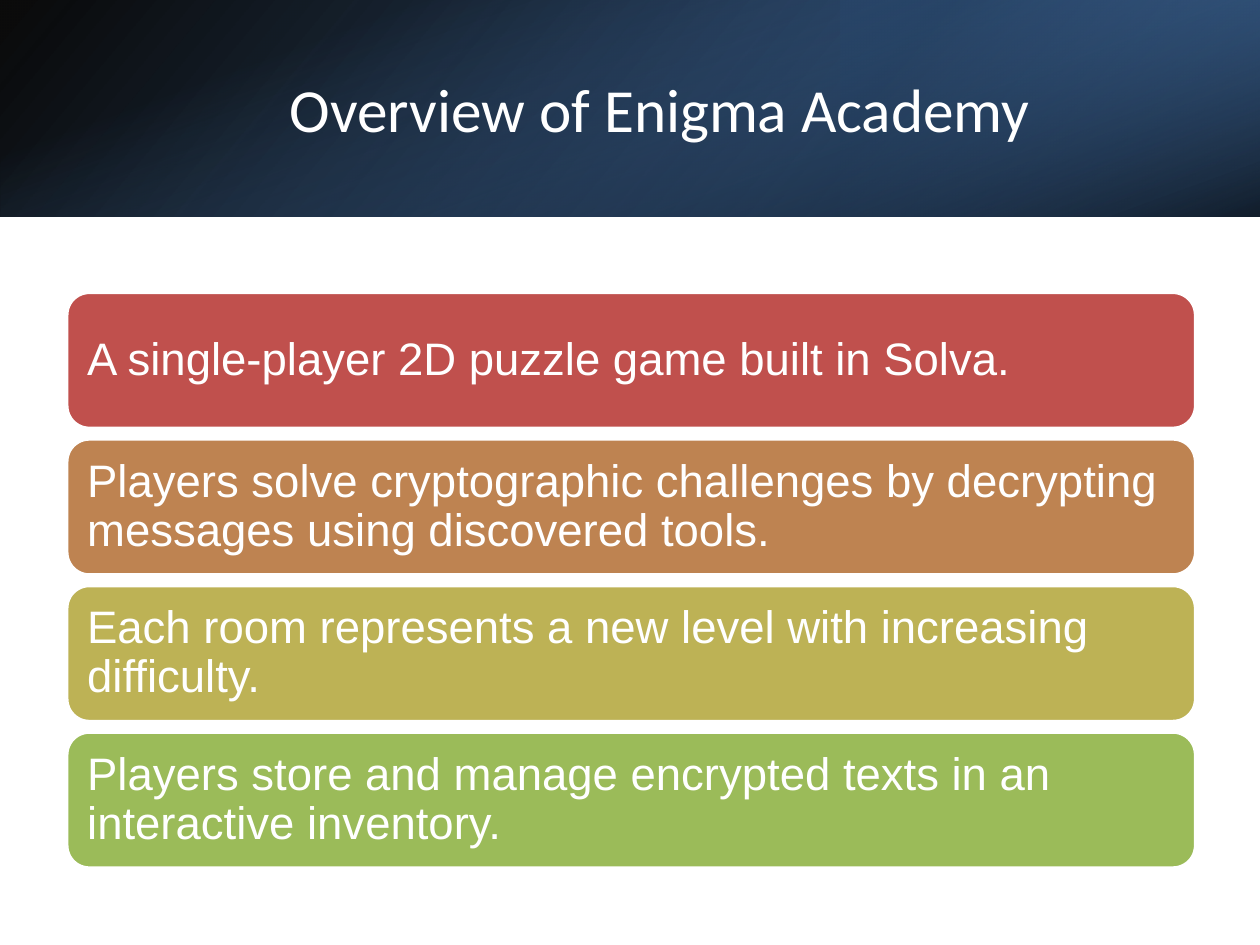
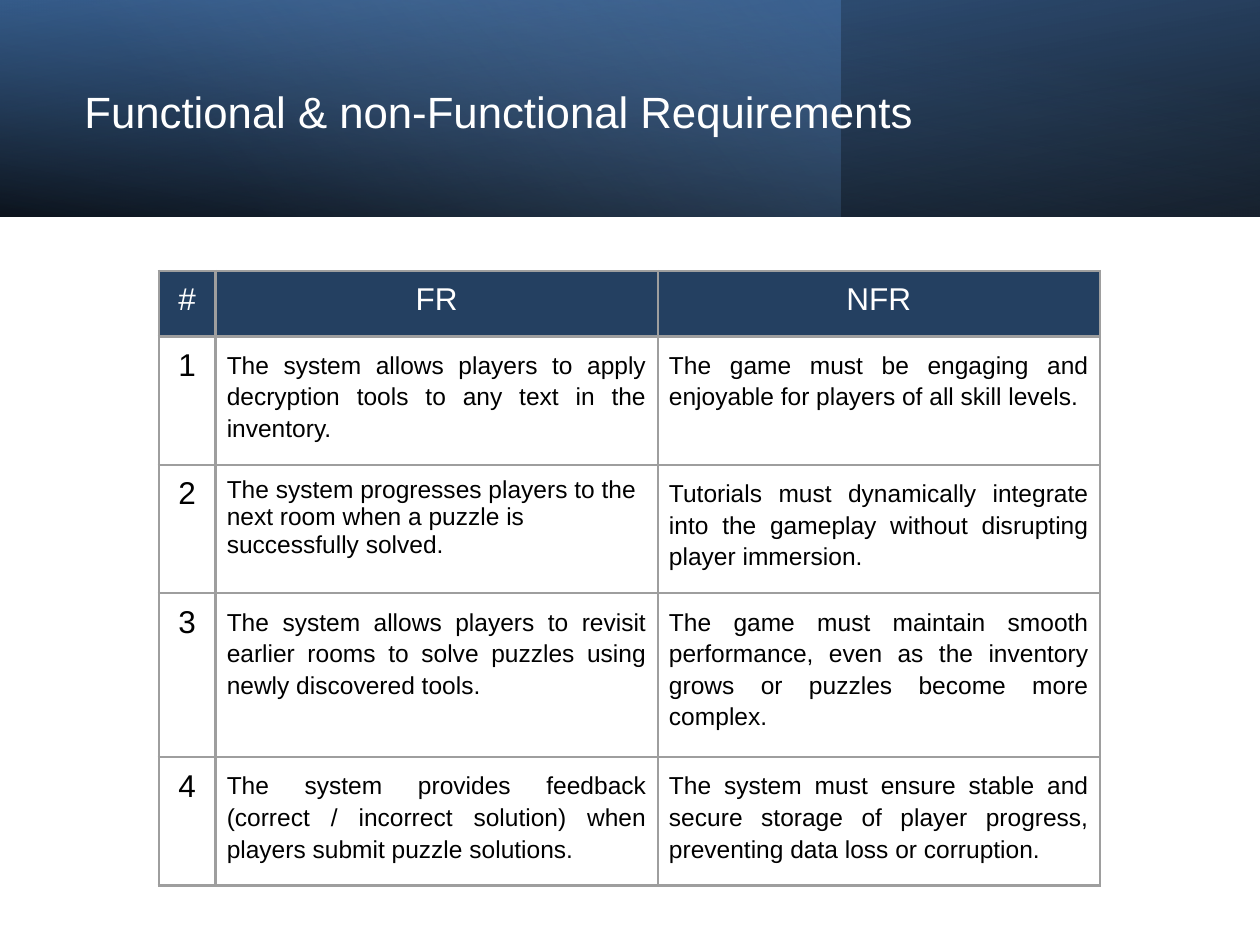
from lxml.etree import SubElement
from pptx import Presentation
from pptx.dml.color import RGBColor
from pptx.enum.shapes import MSO_SHAPE
from pptx.enum.text import MSO_ANCHOR, MSO_AUTO_SIZE, PP_ALIGN
from pptx.oxml import parse_xml
from pptx.oxml.ns import nsdecls, qn
from pptx.util import Pt

PX = 9144  # EMU per px, 100 px to the inch
PAGE = (1000, 750)
BAND_HEIGHT = 172

COLORS = {
    "white": "FFFFFF", "black": "000000", "navy": "254061", "header": "244061",
    "deep": "376092", "blue": "4F81BD", "pale": "95B3D7", "border": "9E9E9E",
    "red": "C0504D", "orange": "BE8351", "gold": "BDB255", "green": "9BBB59",
}

# Content: each band layer has a box, rotation, mirroring, angle and
# gradient stops of (position %, colour, opacity %)
FULL_BAND = (0, 0, 1000, BAND_HEIGHT)
OVERVIEW = {
    "title": "Overview of Enigma Academy",
    "title_box": (112, 38, 824, 96),
    "title_style": {"font": "Calibri", "size": 35, "align": PP_ALIGN.CENTER},
    "band": [
        (FULL_BAND, 0, True, 140, [(0, "black", 96), (100, "deep", 100)]),
        ((667, 0, 333, BAND_HEIGHT), 180, True, 320,
         [(19, "navy", 68), (100, "blue", 79)]),
        ((414, -414, BAND_HEIGHT, 1000), 90, False, 340,
         [(23, "blue", 0), (99, "black", 74)]),
    ],
}
CARDS = [
    ("red", "A single-player 2D puzzle game built in Solva."),
    ("orange", "Players solve cryptographic challenges by decrypting "
               "messages using discovered tools."),
    ("gold", "Each room represents a new level with increasing difficulty."),
    ("green", "Players store and manage encrypted texts in an "
              "interactive inventory."),
]
CARD_LEFT, CARD_WIDTH, CARD_HEIGHT = 53, 896, 108
CARDS_TOP, CARDS_BOTTOM = 232, 689

REQUIREMENTS = {
    "title": "Functional & non-Functional Requirements",
    "title_box": (57, 27, 872, 127),
    "title_style": {"font": "Arial", "size": 25, "align": PP_ALIGN.LEFT,
                    "spacing": 0.9},
    "band": [
        (FULL_BAND, 180, True, 100, [(0, "black", 96), (100, "deep", 100)]),
        ((0, 0, 667, BAND_HEIGHT), 0, False, 140,
         [(0, "blue", 41), (74, "pale", 0)]),
        (FULL_BAND, 0, True, 260, [(0, "black", 63), (78, "blue", 15)]),
    ],
}
TABLE_LEFT, TABLE_TOP = 126, 215
COLUMN_WIDTHS = [45, 351, 351]
ROW_HEIGHTS = [52, 102, 102, 130, 102]
HEADINGS = ("#", "FR", "NFR")
REQUIREMENT_PAIRS = [
    ("The system allows players to apply decryption tools to any text in the inventory.",
     "The game must be engaging and enjoyable for players of all skill levels."),
    ("The system progresses players to the next room when a puzzle is successfully solved.",
     "Tutorials must dynamically integrate into the gameplay without disrupting player immersion."),
    ("The system allows players to revisit earlier rooms to solve puzzles using newly discovered tools.",
     "The game must maintain smooth performance, even as the inventory grows or puzzles become more complex."),
    ("The system provides feedback (correct / incorrect solution) when players submit puzzle solutions.",
     "The system must ensure stable and secure storage of player progress, preventing data loss or corruption."),
]
LEFT_ALIGNED_CELL = (2, 1)


def emu(*lengths):
    return [round(length * PX) for length in lengths]


def rgb(name):
    return RGBColor.from_string(COLORS[name])


def write(frame, text, size, font="Arial", color="white", align=PP_ALIGN.LEFT,
          spacing=None):
    frame.word_wrap = True
    frame.text = text
    para = frame.paragraphs[0]
    para.alignment = align
    if spacing:
        para.line_spacing = spacing
    para.font.name, para.font.size = font, Pt(size)
    para.font.color.rgb = rgb(color)


def add_plain_shape(page, kind, box):
    shape = page.shapes.add_shape(kind, *emu(*box))
    shape.shadow.inherit = False
    return shape


def add_band_layer(page, box, rotation, mirrored, angle, stops):
    layer = add_plain_shape(page, MSO_SHAPE.RECTANGLE, box)
    layer.rotation = rotation
    layer.line.fill.background()
    layer.fill.background()
    properties = layer._element.spPr
    if mirrored:
        properties.find(qn("a:xfrm")).set("flipH", "1")
    stop_xml = "".join(
        f'<a:gs pos="{position * 1000}"><a:srgbClr val="{COLORS[color]}">'
        f'<a:alpha val="{opacity * 1000}"/></a:srgbClr></a:gs>'
        for position, color, opacity in stops)
    gradient = parse_xml(
        f'<a:gradFill {nsdecls("a")} rotWithShape="1"><a:gsLst>{stop_xml}</a:gsLst>'
        f'<a:lin ang="{angle * 60000}" scaled="0"/></a:gradFill>')
    properties.replace(properties.find(qn("a:noFill")), gradient)


def add_page(deck, content):
    page = deck.slides.add_slide(deck.slide_layouts[5])
    for layer in content["band"]:
        add_band_layer(page, *layer)
    # Title goes in front of the band
    title = page.shapes.title
    page.shapes._spTree.append(title._element)
    title.left, title.top, title.width, title.height = emu(*content["title_box"])
    write(title.text_frame, content["title"], **content["title_style"])
    title.text_frame.vertical_anchor = MSO_ANCHOR.MIDDLE
    title.text_frame.auto_size = MSO_AUTO_SIZE.NONE
    return page


def add_cards(page):
    pitch = (CARDS_BOTTOM - CARDS_TOP - CARD_HEIGHT) / (len(CARDS) - 1)
    for index, (color, text) in enumerate(CARDS):
        box = (CARD_LEFT, CARDS_TOP + index * pitch, CARD_WIDTH, CARD_HEIGHT)
        card = add_plain_shape(page, MSO_SHAPE.ROUNDED_RECTANGLE, box)
        card.fill.solid()
        card.fill.fore_color.rgb = rgb(color)
        card.line.color.rgb = rgb("white")
        card.line.width = Pt(2)
        frame = card.text_frame
        # The rounded corners already inset the text by 5 px
        frame.margin_left, frame.margin_right = emu(11, 11)
        frame.margin_top, frame.margin_bottom = emu(11, 11)
        frame.vertical_anchor = MSO_ANCHOR.MIDDLE
        write(frame, text, 26, spacing=0.9)


def add_borders(cell):
    properties = cell._tc.get_or_add_tcPr()
    for index, side in enumerate(("lnL", "lnR", "lnT", "lnB")):
        border = SubElement(properties, qn(f"a:{side}"), w=str(Pt(1.5)))
        fill = SubElement(border, qn("a:solidFill"))
        SubElement(fill, qn("a:srgbClr"), val=COLORS["border"])
        properties.insert(index, border)


def add_requirements_table(page):
    rows = [HEADINGS] + [(str(number), *pair)
                         for number, pair in enumerate(REQUIREMENT_PAIRS, 1)]
    box = (TABLE_LEFT, TABLE_TOP, sum(COLUMN_WIDTHS), sum(ROW_HEIGHTS))
    table = page.shapes.add_table(len(rows), len(HEADINGS), *emu(*box)).table
    table.first_row = table.horz_banding = False
    for column, width in zip(table.columns, emu(*COLUMN_WIDTHS)):
        column.width = width
    for row, height in zip(table.rows, emu(*ROW_HEIGHTS)):
        row.height = height

    for row_index, row in enumerate(rows):
        for column_index, text in enumerate(row):
            cell = table.cell(row_index, column_index)
            cell.margin_left, cell.margin_right = emu(9, 9)
            cell.margin_top, cell.margin_bottom = emu(9, 9)
            if row_index == 0:
                cell.fill.solid()
                cell.fill.fore_color.rgb = rgb("header")
            else:
                cell.fill.background()
            color = "white" if row_index == 0 else "black"
            if row_index == 0 or column_index == 0:
                style = {"size": 18, "align": PP_ALIGN.CENTER}
            elif (row_index, column_index) == LEFT_ALIGNED_CELL:
                style = {"size": 14}
            else:
                style = {"size": 14, "align": PP_ALIGN.JUSTIFY, "spacing": 1.15}
            write(cell.text_frame, text, color=color, **style)
            add_borders(cell)


def main():
    deck = Presentation()
    deck.slide_width, deck.slide_height = emu(*PAGE)
    add_cards(add_page(deck, OVERVIEW))
    add_requirements_table(add_page(deck, REQUIREMENTS))
    deck.save("out.pptx")


if __name__ == "__main__":
    main()
